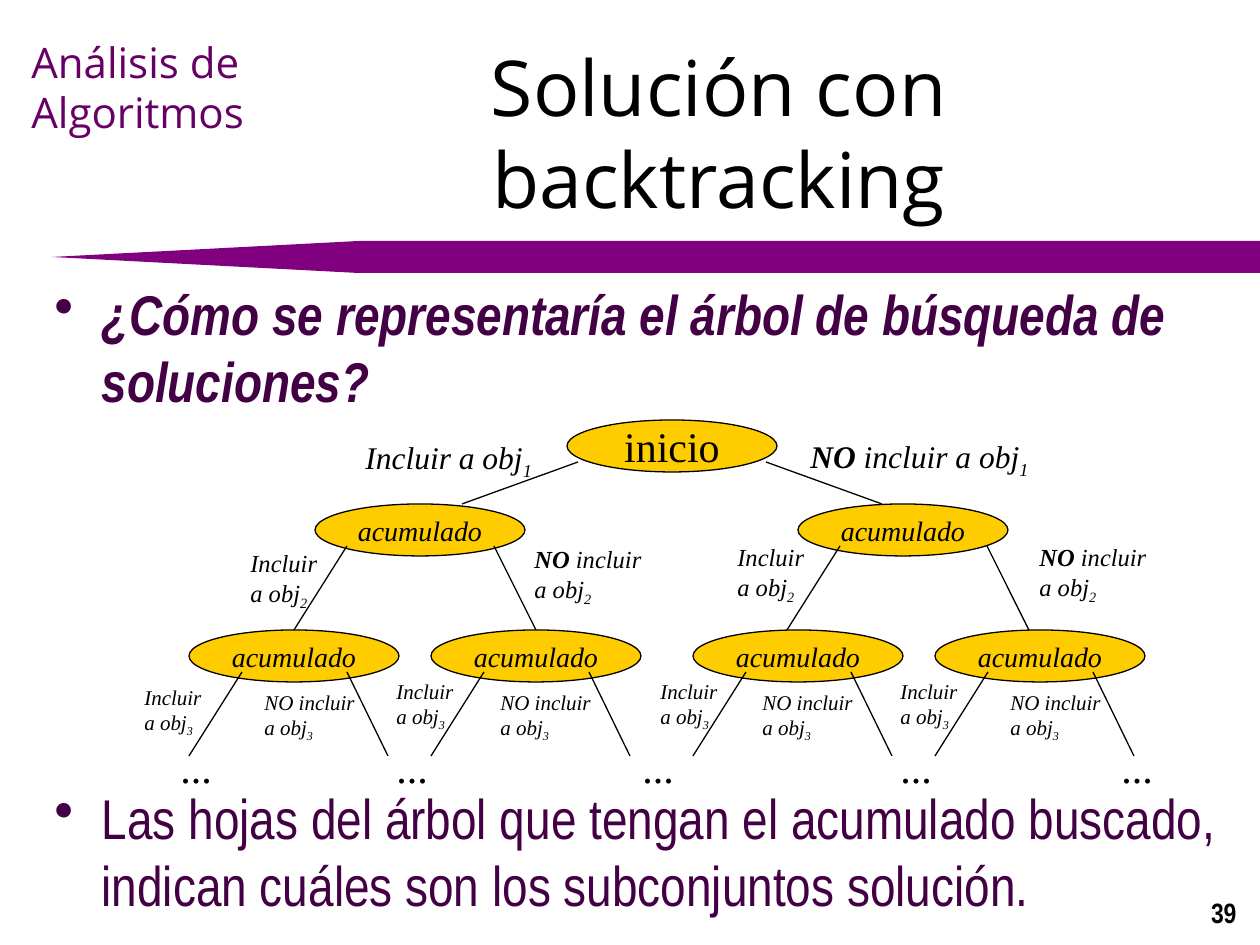
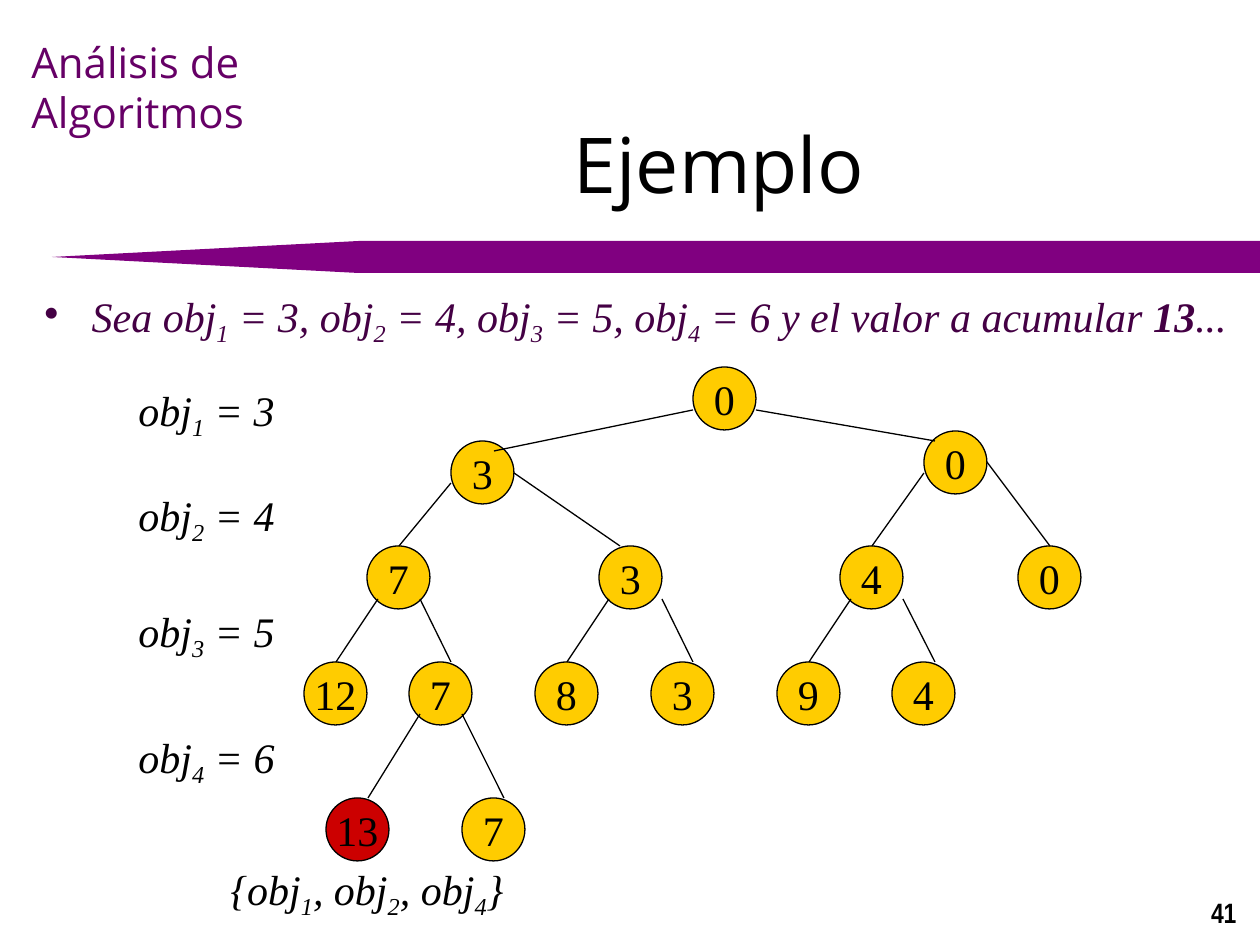
from pptx import Presentation
from pptx.dml.color import RGBColor
from pptx.enum.shapes import MSO_CONNECTOR, MSO_SHAPE
from pptx.enum.text import MSO_ANCHOR, MSO_AUTO_SIZE, PP_ALIGN
from pptx.oxml.ns import qn
from pptx.util import Pt
from lxml.etree import SubElement


class Theme:
    band = RGBColor.from_string("800080")
    brand = RGBColor.from_string("660066")
    body = RGBColor.from_string("440044")
    ink = RGBColor.from_string("000000")
    gold = RGBColor.from_string("FFCC00")
    red = RGBColor.from_string("CC0000")
    head = "Open Sans"
    sans = "Arial Narrow"
    serif = "Times New Roman"
    huge, large, normal, label, node, small, tiny = 44, 32, 24, 18, 16, 14, 12
    stroke = 0.75


SCALE = 914400 // 126


def place(*box):
    return [round(v * SCALE) for v in box]


def write(shape, text, size, font=Theme.serif, color=Theme.ink, align=PP_ALIGN.LEFT,
          bold=False, italic=False, anchor=MSO_ANCHOR.TOP, wrap=True, bullet=False):
    frame = shape.text_frame
    frame.auto_size = MSO_AUTO_SIZE.NONE
    frame.word_wrap = wrap
    frame.vertical_anchor = anchor
    for i, row in enumerate(text.split("\n")):
        para = frame.add_paragraph() if i else frame.paragraphs[0]
        para.alignment = align
        if bullet:
            para.space_before = Pt(size * 0.2)
            props = para._p.get_or_add_pPr()
            props.set("marL", "342900")
            props.set("indent", "-342900")
            SubElement(props, qn("a:buChar")).set("char", "•")
        style = para.font
        style.size, style.name, style.italic = Pt(size), font, italic
        style.bold = bold
        style.color.rgb = color
        for j, part in enumerate(row.split("*")):
            for k, piece in enumerate(part.split("_")):
                chunks = [(piece[:1], True), (piece[1:], False)] if k else [(piece, False)]
                for words, low in chunks:
                    if words:
                        run = para.add_run()
                        run.text = words
                        if j % 2:
                            run.font.bold = True
                        if low:
                            run.font._element.set("baseline", "-25000")


deck = Presentation()
deck.slide_width, deck.slide_height = place(1260, 945)

nodes = [("inicio", 567, 420, 210, 52, Theme.normal, False, Theme.gold)]
edges = [(578, 462, 462, 504), (766, 462, 882, 504)]
labels = [
    ("Incluir a obj_1", 353, 432, 193, 50, Theme.label, True),
    ("*NO* incluir a obj_1", 798, 431, 244, 50, Theme.label, True),
    ("Incluir \na obj_2", 238, 542, 98, 72, Theme.small, True),
    ("*NO* incluir \na obj_2", 522, 538, 139, 72, Theme.small, True),
    ("Incluir \na obj_2", 725, 536, 98, 72, Theme.small, True),
    ("*NO* incluir \na obj_2", 1027, 536, 139, 72, Theme.small, True),
]
for x, shift in ((315, 0), (798, 10)):
    nodes.append(("acumulado", x, 504, 210, 52, Theme.node, True, Theme.gold))
    edges += [(x + 32 + shift, 546, x - 21 + shift, 630),
              (x + 179 + shift, 546, x + 221 + shift, 630)]
for x, yes, top, no in ((189, 132, 678, 252), (431, 384, 672, 488),
                        (693, 648, 672, 750), (935, 888, 672, 998)):
    nodes.append(("acumulado", x, 630, 210, 52, Theme.node, True, Theme.gold))
    edges += [(x + 53, 672, x, 756), (x + 158, 672, x + 199, 756)]
    labels += [("Incluir \na obj_3", yes, top, 88, 63, Theme.tiny, True),
               ("NO incluir \na obj_3", no, 683, 121, 63, Theme.tiny, True)]
for x in (168, 384, 630, 888, 1109):
    labels.append(("...", x, 735, 57, 63, Theme.normal, False))

tree = [
    (0, 693, 367, None),
    (0, 924, 431, (756, 410, 935, 441)),
    (3, 451, 441, (693, 410, 494, 451)),
    (7, 367, 546, (451, 483, 399, 546)),
    (3, 599, 546, (514, 473, 620, 546)),
    (4, 840, 546, (924, 473, 872, 546)),
    (0, 1018, 546, (987, 462, 1050, 546)),
    (12, 304, 662, (378, 599, 336, 662)),
    (7, 409, 662, (420, 599, 451, 662)),
    (8, 535, 662, (609, 599, 567, 662)),
    (3, 651, 662, (662, 599, 693, 662)),
    (9, 777, 662, (851, 599, 809, 662)),
    (4, 892, 662, (903, 599, 935, 662)),
    (13, 326, 798, (420, 714, 368, 798)),
    (7, 462, 798, (462, 714, 504, 798)),
]
sums = [(str(v), x, y, 63, 63, Theme.normal, False, Theme.red if v == 13 else Theme.gold)
        for v, x, y, edge in tree]
links = [edge for v, x, y, edge in tree if edge]
items = [(f"obj_{i} = {i + 2}", 126, y, 164, 63, Theme.normal, True)
         for i, y in enumerate((378, 483, 599, 725), 1)]
items.append(("{obj_1, obj_2, obj_4}", 218, 857, 304, 63, Theme.normal, True))

asks = [
    ("¿Cómo se representaría el árbol de búsqueda de soluciones?",
     (42, 273, 1176, 158), Theme.large, Theme.sans, True, True),
    ("Las hojas del árbol que tengan el acumulado buscado, indican cuáles son los "
     "subconjuntos solución.", (42, 777, 1218, 158), Theme.large, Theme.sans, False, False),
]
given = [
    ("Sea obj_1 = 3, obj_2 = 4, obj_3 = 5, obj_4 = 6 y el valor a acumular *13*...",
     (32, 284, 1218, 567), Theme.normal, Theme.serif, False, True),
]
pages = [
    ("Solución con backtracking", "39", 53, asks, nodes, edges, labels),
    ("Ejemplo", "41", 84, given, sums, links, items),
]

for title, number, top, points, ovals, lines, notes in pages:
    slide = deck.slides.add_slide(deck.slide_layouts[5])
    shapes = slide.shapes

    band = shapes.add_shape(MSO_SHAPE.PENTAGON, *place(52, 241, 1208, 32))
    band.adjustments[0] = 9.58
    band._element.spPr.xfrm.set("flipH", "1")
    band.shadow.inherit = False
    band.fill.solid()
    band.fill.fore_color.rgb = Theme.band
    band.line.fill.background()

    write(shapes.add_textbox(*place(19, 30, 286, 113)), "Análisis de\nAlgoritmos",
          Theme.normal, Theme.head, Theme.brand)
    write(shapes.add_textbox(*place(987, 903, 262, 32)), number, Theme.node, Theme.sans,
          align=PP_ALIGN.RIGHT, bold=True, anchor=MSO_ANCHOR.BOTTOM)

    head = shapes.title
    head.left, head.top, head.width, head.height = place(273, top, 892, 158)
    write(head, title, Theme.huge, Theme.head, align=PP_ALIGN.CENTER,
          anchor=MSO_ANCHOR.MIDDLE)

    for text, box, size, font, bold, italic in points:
        write(shapes.add_textbox(*place(*box)), text, size, font, Theme.body,
              bold=bold, italic=italic, bullet=True)

    for text, x, y, w, h, size, italic, fill in ovals:
        oval = shapes.add_shape(MSO_SHAPE.OVAL, *place(x, y, w, h))
        oval.shadow.inherit = False
        oval.fill.solid()
        oval.fill.fore_color.rgb = fill
        oval.line.color.rgb = Theme.ink
        oval.line.width = Pt(Theme.stroke)
        write(oval, text, size, align=PP_ALIGN.CENTER, italic=italic,
              anchor=MSO_ANCHOR.MIDDLE, wrap=False)

    for ends in lines:
        edge = shapes.add_connector(MSO_CONNECTOR.STRAIGHT, *place(*ends))
        edge.line.color.rgb = Theme.ink
        edge.line.width = Pt(Theme.stroke)
        SubElement(edge._element.spPr, qn("a:effectLst"))

    for text, x, y, w, h, size, italic in notes:
        write(shapes.add_textbox(*place(x, y, w, h)), text, size, italic=italic, wrap=False)

deck.save("out.pptx")
